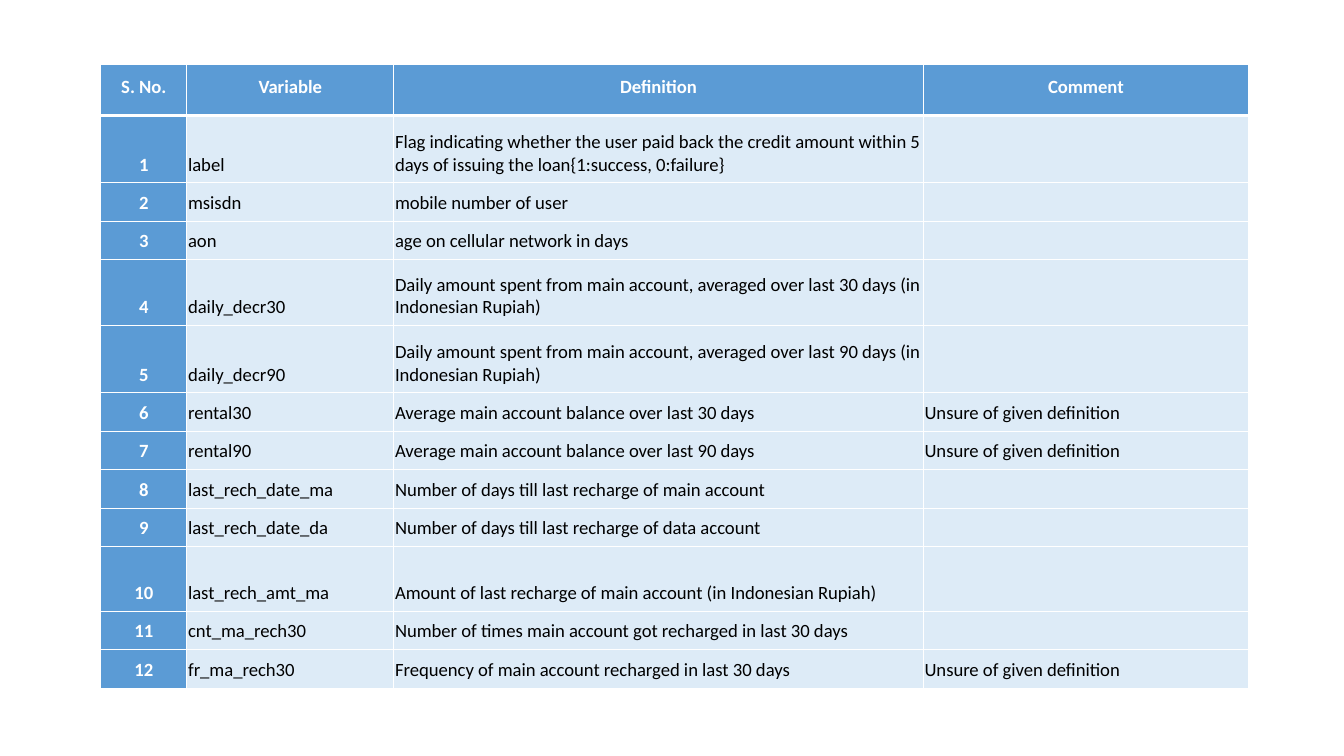
"""Build a slide with a table of loan data variables and their definitions."""
from dataclasses import dataclass

from lxml.etree import SubElement
from pptx import Presentation
from pptx.dml.color import RGBColor as RGB
from pptx.enum.text import MSO_ANCHOR as ANCHOR, PP_ALIGN as ALIGN
from pptx.oxml.ns import qn
from pptx.util import Inches, Pt


@dataclass(frozen=True)
class Theme:
    font: str = "Calibri"
    size: float = 10
    accent: str = "5B9BD5"
    body: str = "DDEBF7"
    light: str = "FFFFFF"
    dark: str = "000000"
    thin: float = 0.5
    thick: float = 1.5


class Deck:
    def __init__(self, prs, theme):
        self.theme = theme
        self.s = prs.slides.add_slide(prs.slide_layouts[6])

    def border(self, cell, side, width):
        tc_pr = cell._tc.get_or_add_tcPr()
        ln = SubElement(tc_pr, qn(f"a:ln{side}"), w=str(Pt(width)))
        fill = SubElement(ln, qn("a:solidFill"))
        SubElement(fill, qn("a:srgbClr"), val=self.theme.light)

    def cell(self, cell, text, row, col):
        t = self.theme
        strong = row == 0 or col == 0
        widths = {"L": t.thin, "R": t.thin,
                  "T": t.thick if row == 1 else t.thin,
                  "B": t.thick if row == 0 else t.thin}
        for side, width in widths.items():
            self.border(cell, side, width)
        cell.fill.solid()
        cell.fill.fore_color.rgb = RGB.from_string(t.accent if strong else t.body)
        cell.margin_left = cell.margin_right = cell.margin_top = Inches(0.01)
        cell.margin_bottom = Inches(0.05)
        cell.vertical_anchor = ANCHOR.MIDDLE if row == 0 else ANCHOR.BOTTOM
        p = cell.text_frame.paragraphs[0]
        p.text = text
        p.alignment = ALIGN.CENTER if strong else ALIGN.LEFT
        for r in p.runs:
            r.font.name = t.font
            r.font.size = Pt(t.size)
            r.font.bold = strong
            r.font.color.rgb = RGB.from_string(t.light if strong else t.dark)
        if not text:
            SubElement(p._p, qn("a:endParaRPr"), sz=str(int(t.size * 100)))

    def table(self, rows, left, top, widths, heights):
        sp = self.s.shapes.add_table(
            len(rows), len(widths), Inches(left), Inches(top),
            Inches(sum(widths)), Inches(sum(heights)))
        table = sp.table
        table.first_row = table.horz_banding = False
        for column, width in zip(table.columns, widths):
            column.width = Inches(width)
        for i, (values, height) in enumerate(zip(rows, heights)):
            table.rows[i].height = Inches(height)
            for j, text in enumerate(values):
                self.cell(table.cell(i, j), text, i, j)


HEADER = ("S. No.", "Variable", "Definition", "Comment")
UNSURE = "Unsure of given definition"
VARIABLES = [
    ("label", "Flag indicating whether the user paid back the credit amount "
     "within 5 days of issuing the loan{1:success, 0:failure}", ""),
    ("msisdn", "mobile number of user", ""),
    ("aon", "age on cellular network in days", ""),
    ("daily_decr30", "Daily amount spent from main account, averaged over "
     "last 30 days (in Indonesian Rupiah)", ""),
    ("daily_decr90", "Daily amount spent from main account, averaged over "
     "last 90 days (in Indonesian Rupiah)", ""),
    ("rental30", "Average main account balance over last 30 days", UNSURE),
    ("rental90", "Average main account balance over last 90 days", UNSURE),
    ("last_rech_date_ma", "Number of days till last recharge of main account", ""),
    ("last_rech_date_da", "Number of days till last recharge of data account", ""),
    ("last_rech_amt_ma", "Amount of last recharge of main account "
     "(in Indonesian Rupiah)", ""),
    ("cnt_ma_rech30", "Number of times main account got recharged "
     "in last 30 days", ""),
    ("fr_ma_rech30", "Frequency of main account recharged in last 30 days", UNSURE),
]
COLUMN_WIDTHS = [0.64, 1.54, 3.94, 2.42]
TABLE_HEIGHT = 4.64
TALL_ROWS = {0: 0.38, 1: 0.5, 4: 0.49, 5: 0.5, 10: 0.48}


def main():
    prs = Presentation()
    prs.slide_width = Inches(10)
    prs.slide_height = prs.slide_width * 9 // 16
    rows = [HEADER] + [(str(n), *v) for n, v in enumerate(VARIABLES, 1)]
    short = (TABLE_HEIGHT - sum(TALL_ROWS.values())) / (len(rows) - len(TALL_ROWS))
    heights = [TALL_ROWS.get(i, short) for i in range(len(rows))]
    Deck(prs, Theme()).table(rows, 0.75, 0.48, COLUMN_WIDTHS, heights)
    prs.save("out.pptx")


if __name__ == "__main__":
    main()
